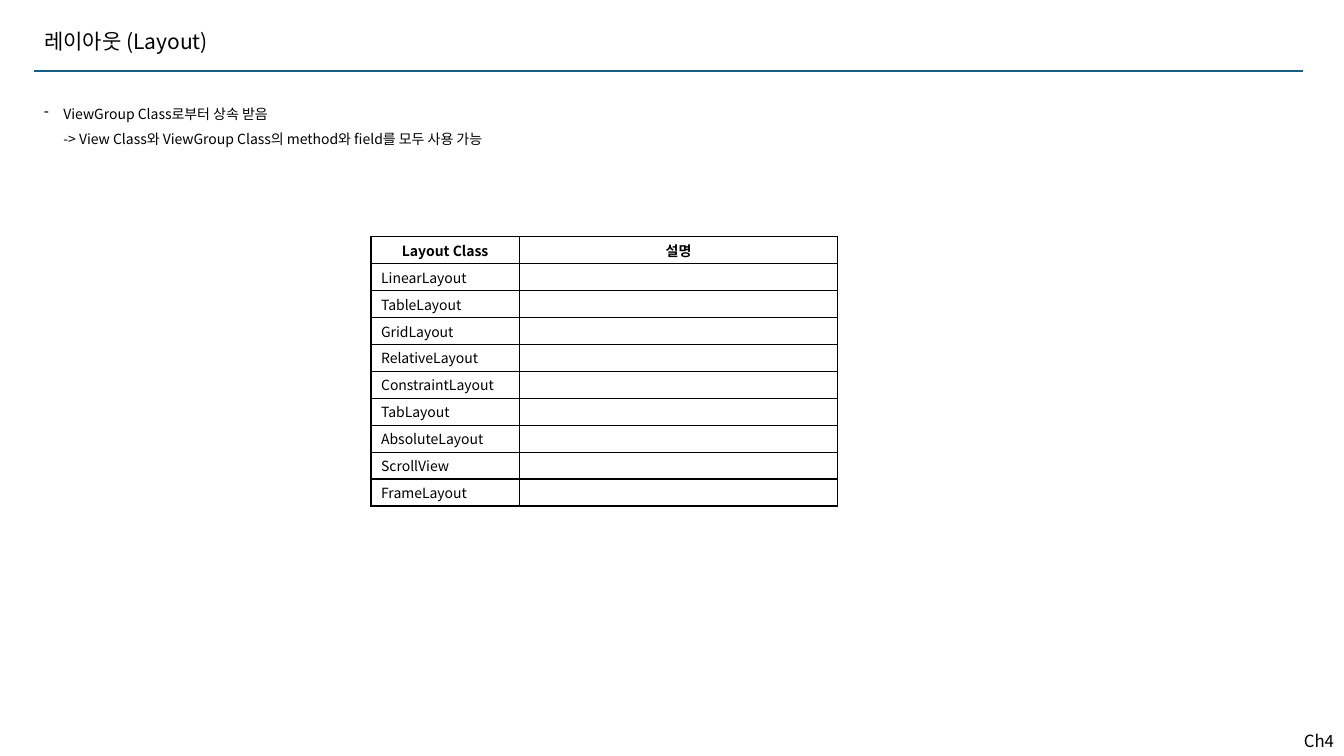
from lxml import etree
from pptx import Presentation
from pptx.dml.color import RGBColor
from pptx.enum.shapes import MSO_CONNECTOR
from pptx.enum.text import MSO_ANCHOR, PP_ALIGN
from pptx.oxml.ns import qn
from pptx.util import Inches, Pt

LEFT, CENTER, RIGHT = PP_ALIGN.LEFT, PP_ALIGN.CENTER, PP_ALIGN.RIGHT
MIDDLE = MSO_ANCHOR.MIDDLE
STRAIGHT = MSO_CONNECTOR.STRAIGHT

WIDTH, HEIGHT = 13.33, 7.5
EDGE = 0.34
FONT = "Noto Sans CJK KR"
BLACK, BLUE = "000000", "156082"
HEADS = ["Layout Class", "설명"]
LAYOUTS = ["LinearLayout", "TableLayout", "GridLayout", "RelativeLayout",
           "ConstraintLayout", "TabLayout", "AbsoluteLayout", "ScrollView",
           "FrameLayout"]
COLS = [1.47, 3.16]
ROW = 0.267


def color(code):
    return RGBColor.from_string(code)


def style(para, size, bold=False, align=LEFT):
    para.alignment = align
    font = para.font
    font.size, font.bold, font.name = Pt(size), bold, FONT
    font.color.rgb = color(BLACK)
    # Korean letters take the East Asian font
    props = para._p.pPr.find(qn("a:defRPr"))
    etree.SubElement(props, qn("a:ea"), typeface=FONT)


def add_text(slide, text, box, size, align=LEFT):
    frame = slide.shapes.add_textbox(*map(Inches, box)).text_frame
    frame.word_wrap = True
    frame.text = ""
    para = frame.paragraphs[0]
    para.text = text
    return para, style, size, align


def add_label(slide, text, box, size, align=LEFT, bullet=None):
    frame = slide.shapes.add_textbox(*map(Inches, box)).text_frame
    frame.word_wrap = True
    para = frame.paragraphs[0]
    para.text = text
    if bullet:
        para.line_spacing = 1.5
        props = para._p.get_or_add_pPr()
        props.set("marL", str(Inches(0.19)))
        props.set("indent", str(-Inches(0.19)))
        etree.SubElement(props, qn("a:buChar"), char=bullet)
    style(para, size, align=align)


def add_rule(slide, left, right, top):
    line = slide.shapes.add_connector(
        STRAIGHT, *map(Inches, (left, top, right, top)))
    line.line.color.rgb = color(BLUE)
    line.line.width = Pt(1.5)
    etree.SubElement(line._element.spPr, qn("a:effectLst"))


def add_border(cell):
    props = cell._tc.get_or_add_tcPr()
    for spot, side in enumerate(("lnL", "lnR", "lnT", "lnB")):
        edge = etree.Element(qn("a:" + side), w=str(Pt(1)))
        fill = etree.SubElement(edge, qn("a:solidFill"))
        etree.SubElement(fill, qn("a:srgbClr"), val=BLACK)
        props.insert(spot, edge)


def fill_cell(cell, text, head):
    cell.fill.background()
    cell.vertical_anchor = MIDDLE
    cell.margin_top = cell.margin_bottom = Inches(0.03)
    para = cell.text_frame.paragraphs[0]
    if text:
        para.text = text
    style(para, 10, bold=head, align=CENTER if head else LEFT)
    if not text:
        # Keeps the empty row as low as the others
        etree.SubElement(para._p, qn("a:endParaRPr"), sz="1000")
    add_border(cell)


def add_grid(slide, left, top):
    rows = [HEADS] + [[name, ""] for name in LAYOUTS]
    size = (left, top, sum(COLS), ROW * len(rows))
    table = slide.shapes.add_table(
        len(rows), len(COLS), *map(Inches, size)).table
    table.horz_banding = False
    for col, width in zip(table.columns, COLS):
        col.width = Inches(width)
    for r, row in enumerate(rows):
        table.rows[r].height = Inches(ROW)
        for c, text in enumerate(row):
            fill_cell(table.cell(r, c), text, r == 0)


def main():
    deck = Presentation()
    deck.slide_width, deck.slide_height = Inches(WIDTH), Inches(HEIGHT)
    slide = deck.slides.add_slide(deck.slide_layouts[6])

    # Chapter mark and title
    add_label(slide, "Ch4", (WIDTH - 0.57, HEIGHT - 0.3, 0.57, 0.3), 12, RIGHT)
    add_label(slide, "레이아웃 (Layout)", (EDGE, 0.23, 4.3, 0.35), 15)
    add_rule(slide, EDGE, 12.92, 0.7)

    # Inheritance note
    add_label(slide, "ViewGroup Class로부터 상속 받음\v"
              "-> View Class와 ViewGroup Class의 method와 field를 모두 사용 가능",
              (EDGE, 0.91, 5.32, 0.83), 10, bullet="-")

    # Layout classes
    add_grid(slide, 3.68, 2.35)
    deck.save("out.pptx")


if __name__ == "__main__":
    main()
